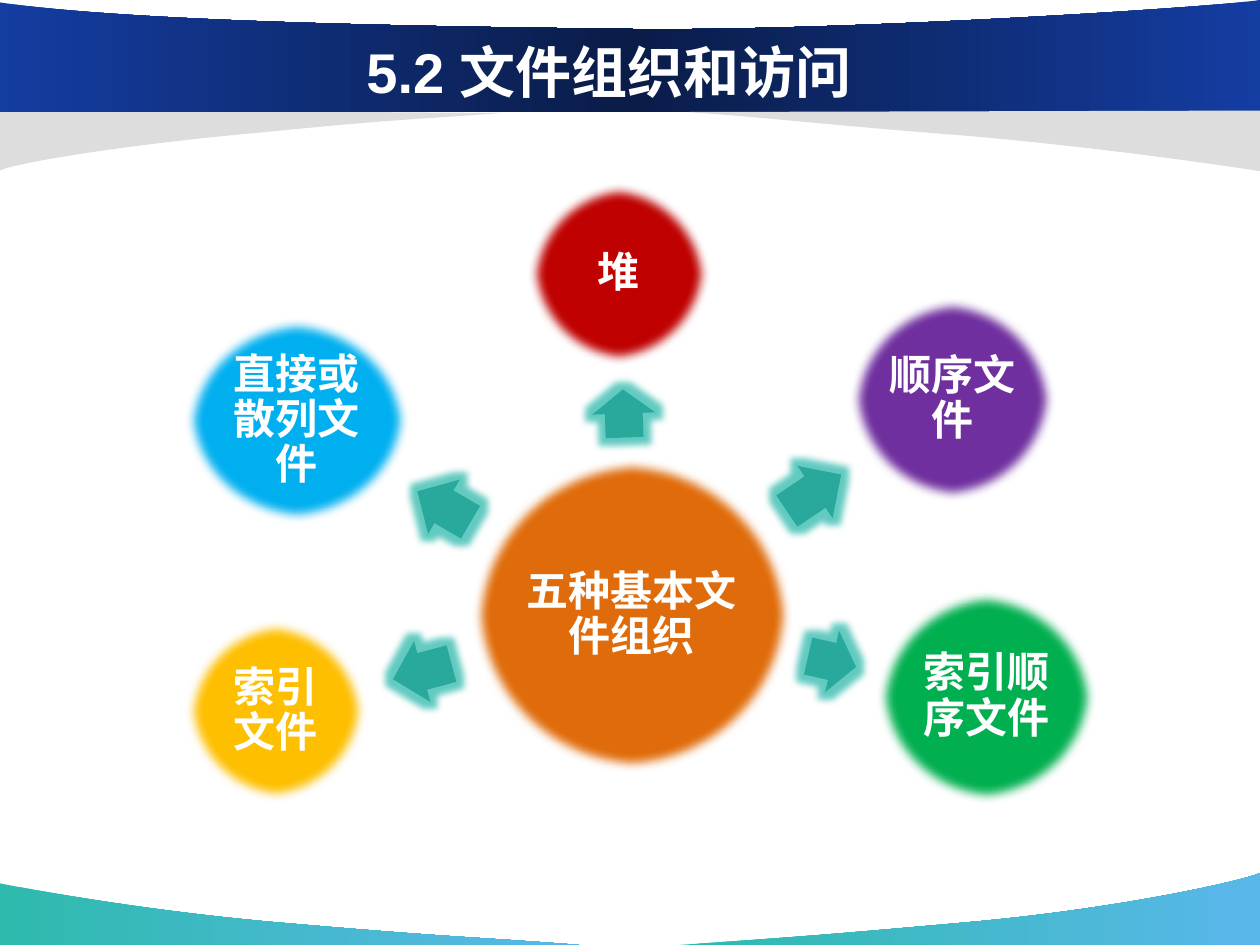
import copy

import pptx
import pptx.dml.color
import pptx.enum.shapes
import pptx.enum.text
import pptx.oxml
import pptx.oxml.ns
import pptx.util
from pptx.util import Cm

RGBColor = pptx.dml.color.RGBColor
WHITE = RGBColor(0xFF, 0xFF, 0xFF)
GREY = RGBColor(0xDD, 0xDD, 0xDD)
BLUE = RGBColor(0x14, 0x3D, 0xA2)
NAVY = RGBColor(0x0A, 0x1C, 0x48)
TEAL = RGBColor(0x2E, 0xBA, 0xAD)
SKY = RGBColor(0x5A, 0xB7, 0xEA)
ARROW = RGBColor(0x29, 0xA8, 0x9C)

BANDS = [
    ([TEAL, SKY], [(11.68, 19.05), (9.75, 18.9), (9.09, 18.9), (5.89, 18.62),
                   (2.69, 18.36), (0.03, 17.81), (0, 17.81)], [(0, 19.05)]),
    ([TEAL, SKY], [(13.69, 19.05), (15.6, 18.92), (16.41, 18.87), (19.53, 18.59),
                   (22.66, 18.31), (25.15, 17.73), (25.4, 17.6)], [(25.4, 19.05)]),
    ([GREY], [(10.11, 2.28), (8.41, 2.41), (8.08, 2.39), (5.28, 2.67),
              (2.46, 2.92), (0.23, 3.3), (0, 3.44)], [(0, 2.21)]),
    ([BLUE, NAVY, BLUE], [(25.4, 0), (24.49, 0.15), (16.59, 0.66), (12.37, 0.58),
                          (8.15, 0.53), (2.57, 0.43), (0, 0.05)], [(0, 2.26), (25.4, 2.24)]),
    ([GREY], [(13.82, 2.26), (15.75, 2.39), (16.31, 2.49), (19.51, 2.74),
              (22.71, 3.02), (25.37, 3.45), (25.4, 3.45)], [(25.4, 2.23)]),
]
CIRCLES = [
    ("五种基本文件组织", RGBColor(0xE0, 0x6B, 0x0A), 9.5, 9.23, 6.48, 6.35),
    ("堆", RGBColor(0xC0, 0x00, 0x00), 10.61, 3.66, 3.73, 3.73),
    ("顺序文件", RGBColor(0x70, 0x30, 0xA0), 17.11, 5.97, 4.19, 4.17),
    ("索引顺序文件", RGBColor(0x00, 0xB0, 0x50), 17.66, 11.89, 4.47, 4.32),
    ("索引文件", RGBColor(0xFF, 0xC0, 0x00), 3.7, 12.47, 3.73, 3.73),
    ("直接或散列文件", RGBColor(0x00, 0xB0, 0xF0), 3.7, 6.39, 4.57, 4.19),
]
ARROWS = [
    (12.09, 7.7, 0.97, 267.9),
    (15.75, 9.3, 1.32, 326.1),
    (16.28, 12.7, 0.99, 12.8),
    (7.9, 12.9, 1.22, 165),
    (8.33, 9.58, 1.24, 210.2),
]


def paint(shape, colors):
    """Fill a shape with one colour or an even horizontal gradient."""
    shape.shadow.inherit = False
    shape.line.fill.background()
    if len(colors) == 1:
        shape.fill.solid()
        shape.fill.fore_color.rgb = colors[0]
        return
    shape.fill.gradient()
    shape.fill.gradient_angle = 0
    stops = next(shape.element.iter(pptx.oxml.ns.qn("a:gsLst")))
    while len(stops) < len(colors):
        stops.append(copy.deepcopy(stops[-1]))
    for index, (stop, color) in enumerate(zip(shape.fill.gradient_stops, colors)):
        stop.position = index / (len(colors) - 1)
        stop.color.rgb = color


def add_effect(shape, name, radius, content=""):
    """Give a shape a soft edge or a glow."""
    effects = next(shape.element.iter(pptx.oxml.ns.qn("a:effectLst")))
    effects.append(pptx.oxml.parse_xml(
        f'<a:{name} {pptx.oxml.ns.nsdecls("a")} rad="{pptx.util.Pt(radius)}">{content}</a:{name}>'))


def bend_segments(shape, count):
    """Turn the first line segments, three at a time, into cubic curves."""
    segments = list(shape.element.iter(pptx.oxml.ns.qn("a:lnTo")))[:count]
    for first in range(0, count, 3):
        curve = pptx.oxml.parse_xml(f'<a:cubicBezTo {pptx.oxml.ns.nsdecls("a")}/>')
        segments[first].addprevious(curve)
        for segment in segments[first:first + 3]:
            curve.append(segment[0])
            segment.getparent().remove(segment)


def add_band(page, colors, knots, ends):
    """Add a curved decorative band."""
    points = [(Cm(x), Cm(y)) for x, y in knots + ends]
    builder = page.shapes.build_freeform(*points[0])
    builder.add_line_segments(points[1:], close=True)
    band = builder.convert_to_shape()
    bend_segments(band, len(knots) - 1)
    paint(band, colors)


def format_text(shape, text, size):
    """Write bold white centred text into a shape."""
    frame = shape.text_frame
    frame.text = text
    frame.word_wrap = True
    frame.auto_size = pptx.enum.text.MSO_AUTO_SIZE.NONE
    frame.vertical_anchor = pptx.enum.text.MSO_ANCHOR.MIDDLE
    para = frame.paragraphs[0]
    para.alignment = pptx.enum.text.PP_ALIGN.CENTER
    para.font.name = "Arial"
    para.font.size = pptx.util.Pt(size)
    para.font.bold = True
    para.font.color.rgb = WHITE
    return frame


def add_circle(page, text, color, left, top, width, height):
    """Add a soft-edged ellipse with its label."""
    circle = page.shapes.add_shape(pptx.enum.shapes.MSO_SHAPE.OVAL,
                                   Cm(left), Cm(top), Cm(width), Cm(height))
    paint(circle, [color])
    add_effect(circle, "softEdge", 6)
    frame = format_text(circle, text, 24)
    frame.margin_left = frame.margin_right = Cm(0.08)
    frame.margin_top = frame.margin_bottom = Cm(0.08)
    frame.paragraphs[0].line_spacing = 0.9


def add_arrow(page, left, top, width, rotation):
    """Add a glowing block arrow pointing away from the centre."""
    arrow = page.shapes.add_shape(pptx.enum.shapes.MSO_SHAPE.RIGHT_ARROW,
                                  Cm(left), Cm(top), Cm(width), Cm(1.27))
    arrow.adjustments[0] = 0.6
    arrow.rotation = rotation
    paint(arrow, [ARROW])
    add_effect(arrow, "glow", 8, f'<a:srgbClr val="{TEAL}"><a:alpha val="75000"/></a:srgbClr>')


def add_title(page, text):
    """Place and format the title in front of the bands."""
    title = page.shapes.title
    title.left, title.top, title.width, title.height = Cm(2.34), Cm(0.64), Cm(19.89), Cm(1.57)
    format_text(title, text, 32)
    title.element.getparent().append(title.element)


def main():
    """Build the slide and save it."""
    deck = pptx.Presentation()
    deck.slide_width, deck.slide_height = Cm(25.4), Cm(19.05)
    page = deck.slides.add_slide(deck.slide_layouts[5])
    for band in BANDS:
        add_band(page, *band)
    for circle in CIRCLES:
        add_circle(page, *circle)
    for arrow in ARROWS:
        add_arrow(page, *arrow)
    add_title(page, "5.2 文件组织和访问")
    deck.save("out.pptx")


if __name__ == "__main__":
    main()
